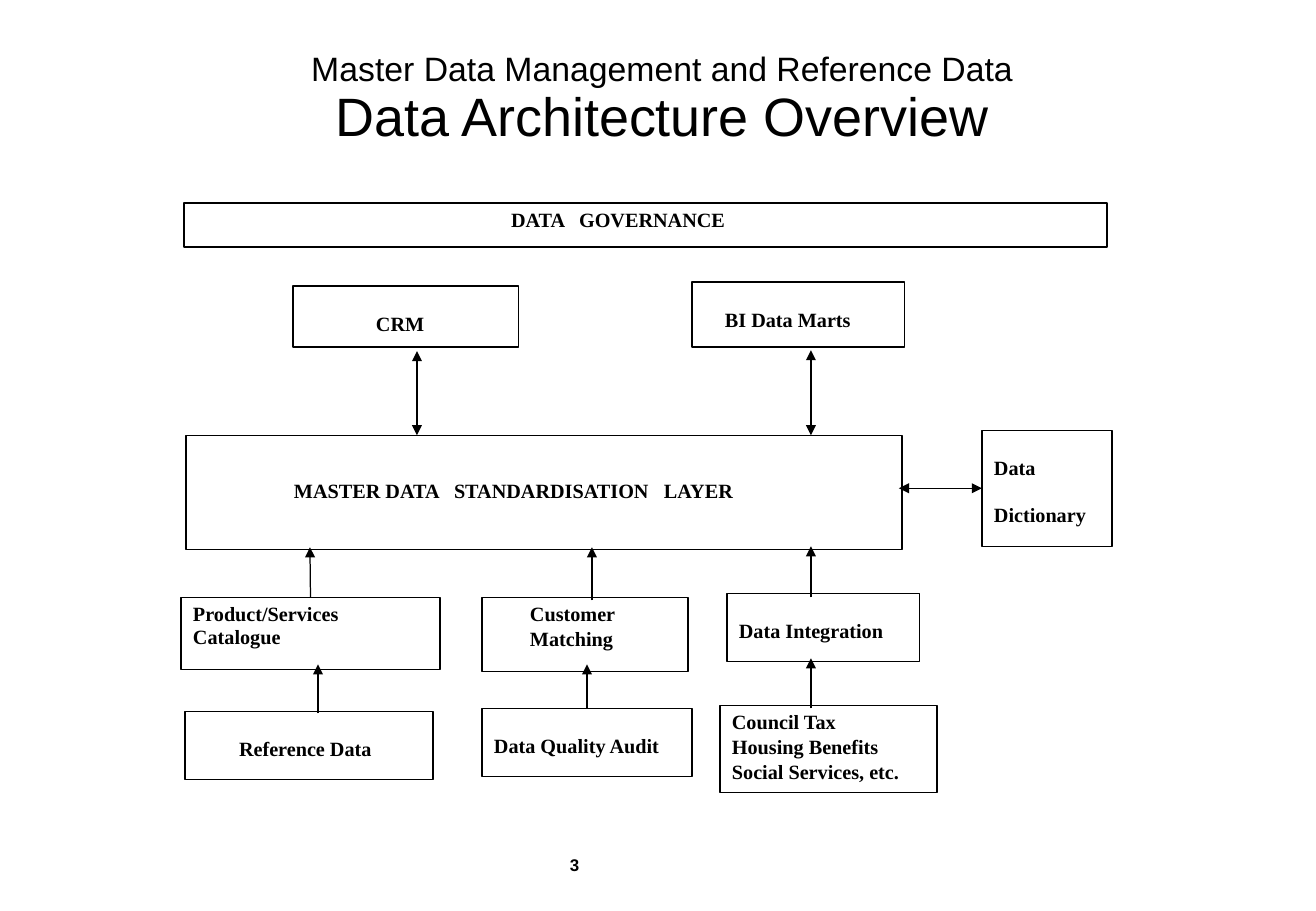
from lxml import etree
from pptx import Presentation
from pptx import util as u
from pptx.dml.color import RGBColor
from pptx.enum import shapes, text
from pptx.oxml import ns

EMU_PER_PX = 7532
BLACK = RGBColor(0x00, 0x00, 0x00)
WHITE = RGBColor(0xFF, 0xFF, 0xFF)
HEADING_FONT = "Arial"
BOX_FONT = "Times New Roman"

GOVERNANCE = "DATA\tGOVERNANCE"
MASTER_LAYER = "MASTER DATA\tSTANDARDISATION\tLAYER"

BOXES = {
    "governance": ((184, 203, 923, 44), (327, 6), [GOVERNANCE], {"tabs": [68]}),
    "crm": ((293, 286, 226, 61), (83, 27), ["CRM"], {}),
    "marts": ((692, 282, 213, 65), (33, 27), ["BI Data Marts"], {}),
    "master": ((186, 435, 716, 114), (108, 45), [MASTER_LAYER], {"tabs": [160, 370]}),
    "dictionary": ((982, 430, 130, 116), (12, 27), ["Data", "Dictionary"], {"gap": 14}),
    "catalogue": ((181, 597, 259, 72), (12, 6), ["Product/Services Catalogue"], {"right": 60}),
    "matching": ((482, 597, 206, 74), (48, 6), ["Customer", "Matching"], {"gap": 1}),
    "integration": ((727, 593, 193, 68), (12, 27), ["Data Integration"], {}),
    "reference": ((185, 711, 248, 68), (54, 27), ["Reference Data"], {}),
    "audit": ((482, 708, 210, 68), (12, 27), ["Data Quality Audit"], {}),
    "sources": ((720, 705, 217, 87), (12, 6),
                ["Council Tax", "Housing Benefits", "Social Services, etc."], {"gap": 1}),
}

TWO_WAY_ARROWS = [
    ((417, 435), (417, 351)),
    ((811, 435), (811, 350)),
]
UPWARD_ARROWS = [
    ((592, 600), (592, 547)),
    ((811, 597), (811, 546)),
    ((318, 713), (318, 664)),
    ((811, 708), (811, 658)),
]


def px(value):
    return u.Emu(value * EMU_PER_PX)


def write(paragraph, words, *, size=12, font=BOX_FONT, bold=True):
    run = paragraph.add_run()
    run.text = words
    run.font.size = u.Pt(size)
    run.font.name = font
    run.font.bold = bold
    run.font.color.rgb = BLACK


def set_frame(frame, left=12, top=6, right=12, anchor=text.MSO_ANCHOR.TOP):
    frame.word_wrap = True
    frame.auto_size = text.MSO_AUTO_SIZE.NONE
    frame.vertical_anchor = anchor
    frame.margin_left, frame.margin_right = px(left), px(right)
    frame.margin_top, frame.margin_bottom = px(top), px(6)


def set_tabs(paragraph, positions):
    properties = paragraph._p.get_or_add_pPr()
    tab_list = etree.SubElement(properties, ns.qn("a:tabLst"))
    for position in positions:
        etree.SubElement(tab_list, ns.qn("a:tab"), pos=str(px(position)), algn="l")


def add_box(slide, bounds, text_start, lines, tabs=(), gap=0, right=0):
    box = slide.shapes.add_shape(shapes.MSO_SHAPE.RECTANGLE, *map(px, bounds))
    box.shadow.inherit = False
    box.fill.solid()
    box.fill.fore_color.rgb = WHITE
    box.line.color.rgb = BLACK
    box.line.width = u.Pt(0.75)
    frame = box.text_frame
    set_frame(frame, *text_start, right=right)
    for index, line in enumerate(lines):
        paragraph = frame.add_paragraph() if index else frame.paragraphs[0]
        paragraph.alignment = text.PP_ALIGN.LEFT
        paragraph.line_spacing = 0.95
        if index:
            paragraph.space_before = u.Pt(gap)
        if tabs:
            set_tabs(paragraph, tabs)
        write(paragraph, line)
    return box


def add_arrow(slide, start, end, two_way=False):
    arrow = slide.shapes.add_connector(
        shapes.MSO_CONNECTOR.STRAIGHT, *map(px, start + end))
    arrow.line.color.rgb = BLACK
    arrow.line.width = u.Pt(0.75)
    line = arrow.line._get_or_add_ln()
    for tag in ("a:headEnd", "a:tailEnd") if two_way else ("a:tailEnd",):
        etree.SubElement(line, ns.qn(tag), type="triangle")
    etree.SubElement(arrow._element.spPr, ns.qn("a:effectLst"))
    return arrow


def add_title(slide):
    title = slide.shapes.title
    title.left, title.top, title.width, title.height = map(px, (98, 51, 1129, 98))
    set_frame(title.text_frame, anchor=text.MSO_ANCHOR.MIDDLE)
    paragraph = title.text_frame.paragraphs[0]
    paragraph.alignment = text.PP_ALIGN.CENTER
    paragraph.line_spacing = 0.93
    write(paragraph, "Master Data Management and Reference Data",
          size=20, font=HEADING_FONT, bold=False)
    paragraph.add_line_break()
    write(paragraph, "Data Architecture Overview", size=32, font=HEADING_FONT, bold=False)


def add_page_number(slide):
    frame = slide.shapes.add_textbox(*map(px, (558, 850, 76, 32))).text_frame
    set_frame(frame)
    paragraph = frame.paragraphs[0]
    paragraph.line_spacing = 0.93
    write(paragraph, "3", size=10, font=HEADING_FONT)


def main():
    presentation = Presentation()
    presentation.slide_width = u.Inches(10.84)
    presentation.slide_height = u.Inches(7.5)
    slide = presentation.slides.add_slide(presentation.slide_layouts[5])
    add_title(slide)
    boxes = {name: add_box(slide, bounds, text_start, lines, **options)
             for name, (bounds, text_start, lines, options) in BOXES.items()}
    for start, end in TWO_WAY_ARROWS:
        add_arrow(slide, start, end, two_way=True)
    for start, end in UPWARD_ARROWS:
        add_arrow(slide, start, end)
    add_arrow(slide, (310, 597), (310, 547)).begin_connect(boxes["catalogue"], 0)
    add_arrow(slide, (587, 708), (587, 664)).begin_connect(boxes["audit"], 0)
    add_arrow(slide, (982, 488), (899, 488), two_way=True).begin_connect(boxes["dictionary"], 1)
    add_page_number(slide)
    presentation.save("out.pptx")


if __name__ == "__main__":
    main()
